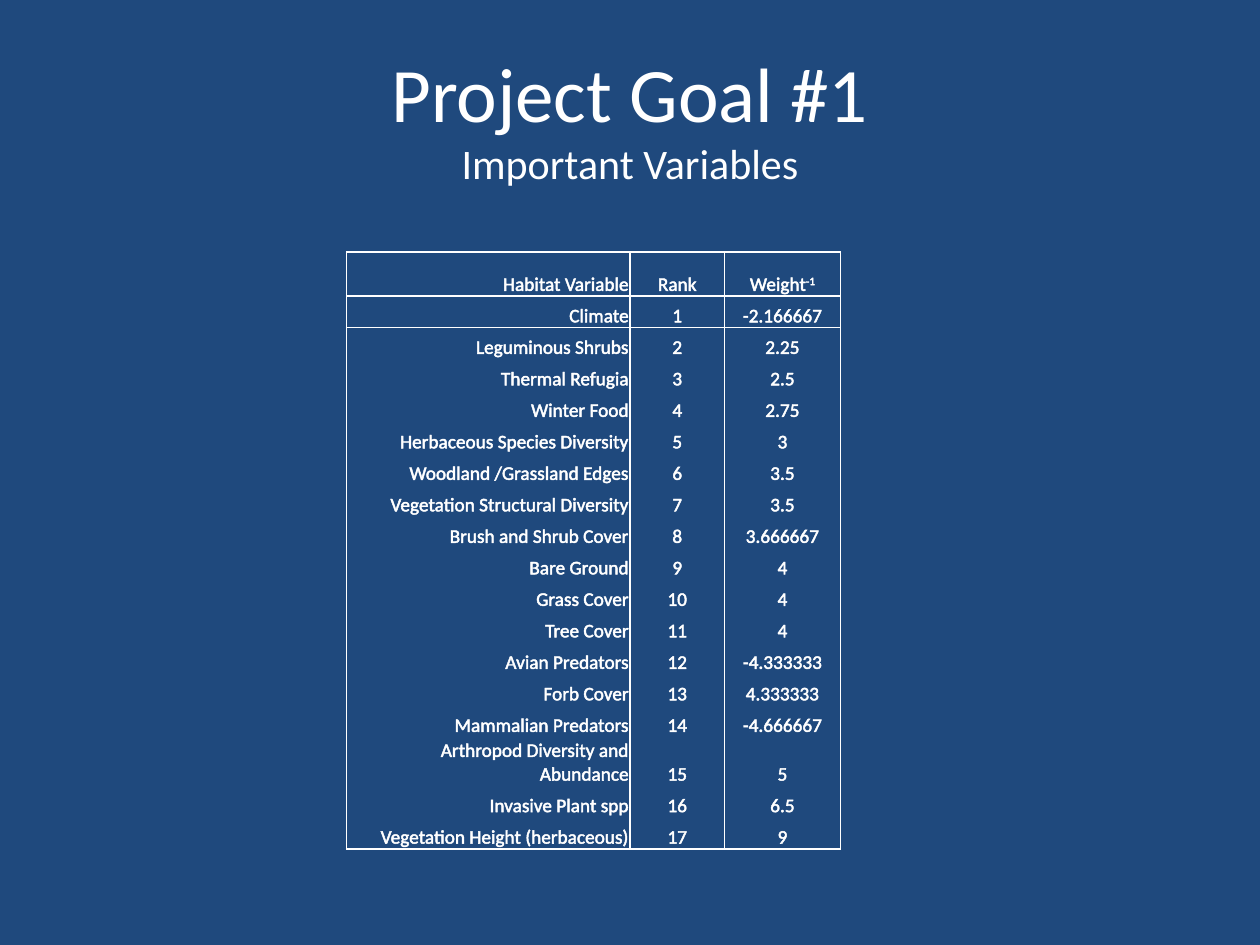
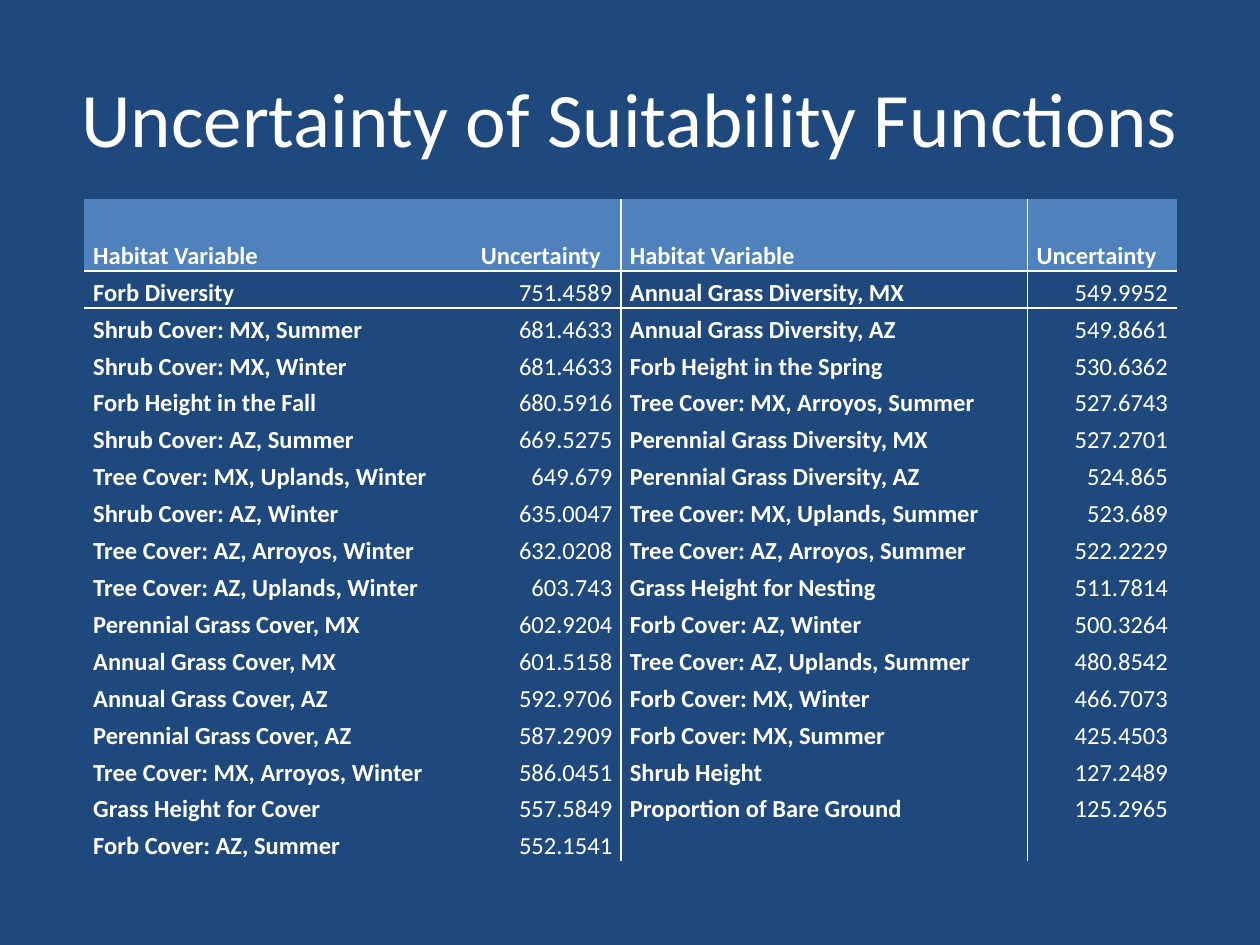
"""Build two slides of habitat variable tables on a shared dark blue master."""
import collections

import lxml.etree
import pptx
import pptx.dml.color
import pptx.enum.text
import pptx.oxml.ns
import pptx.util

WHITE = pptx.dml.color.RGBColor(0xFF, 0xFF, 0xFF)
NAVY = pptx.dml.color.RGBColor(0x1F, 0x49, 0x7D)
STEEL = pptx.dml.color.RGBColor(0x4F, 0x81, 0xBD)
FONT = "Calibri"
PLAIN_TABLE = "{2D5ABB26-0587-4C30-8999-92F81FD0307C}"
ALIGN = pptx.enum.text.PP_ALIGN
BOTTOM = pptx.enum.text.MSO_ANCHOR.BOTTOM
MIDDLE = pptx.enum.text.MSO_ANCHOR.MIDDLE

SLIDE_WIDTH = pptx.util.Inches(10)
SLIDE_HEIGHT = pptx.util.Inches(7.5)
GRID_COLUMNS, GRID_ROWS = 40, 30

Box = collections.namedtuple("Box", "left top width height")
TITLE_BOX = Box(2, 1.2, 36, 5)
RANKING_BOX = Box(11, 8, 15.68, 18.4)
UNCERTAINTY_BOX = Box(2.68, 6.32, 34.68, 21.04)

RANKED_VARIABLES = [
    ("Climate", "-2.166667"),
    ("Leguminous Shrubs", "2.25"),
    ("Thermal Refugia", "2.5"),
    ("Winter Food", "2.75"),
    ("Herbaceous Species Diversity", "3"),
    ("Woodland /Grassland Edges", "3.5"),
    ("Vegetation Structural Diversity", "3.5"),
    ("Brush and Shrub Cover", "3.666667"),
    ("Bare Ground", "4"),
    ("Grass Cover", "4"),
    ("Tree Cover", "4"),
    ("Avian Predators", "-4.333333"),
    ("Forb Cover", "4.333333"),
    ("Mammalian Predators", "-4.666667"),
    ("Arthropod Diversity and Abundance", "5"),
    ("Invasive Plant spp", "6.5"),
    ("Vegetation Height (herbaceous)", "9"),
]

UNCERTAINTIES = [
    ("Forb Diversity", "751.4589"),
    ("Shrub Cover: MX, Summer", "681.4633"),
    ("Shrub Cover: MX, Winter", "681.4633"),
    ("Forb Height in the Fall", "680.5916"),
    ("Shrub Cover: AZ, Summer", "669.5275"),
    ("Tree Cover: MX, Uplands, Winter", "649.679"),
    ("Shrub Cover: AZ, Winter", "635.0047"),
    ("Tree Cover: AZ, Arroyos, Winter", "632.0208"),
    ("Tree Cover: AZ, Uplands, Winter", "603.743"),
    ("Perennial Grass Cover, MX", "602.9204"),
    ("Annual Grass Cover, MX", "601.5158"),
    ("Annual Grass Cover, AZ", "592.9706"),
    ("Perennial Grass Cover, AZ", "587.2909"),
    ("Tree Cover: MX, Arroyos, Winter", "586.0451"),
    ("Grass Height for Cover", "557.5849"),
    ("Forb Cover: AZ, Summer", "552.1541"),
    ("Annual Grass Diversity, MX", "549.9952"),
    ("Annual Grass Diversity, AZ", "549.8661"),
    ("Forb Height in the Spring", "530.6362"),
    ("Tree Cover: MX, Arroyos, Summer", "527.6743"),
    ("Perennial Grass Diversity, MX", "527.2701"),
    ("Perennial Grass Diversity, AZ", "524.865"),
    ("Tree Cover: MX, Uplands, Summer", "523.689"),
    ("Tree Cover: AZ, Arroyos, Summer", "522.2229"),
    ("Grass Height for Nesting", "511.7814"),
    ("Forb Cover: AZ, Winter", "500.3264"),
    ("Tree Cover: AZ, Uplands, Summer", "480.8542"),
    ("Forb Cover: MX, Winter", "466.7073"),
    ("Forb Cover: MX, Summer", "425.4503"),
    ("Shrub Height", "127.2489"),
    ("Proportion of Bare Ground", "125.2965"),
]


def apply_formats(target, formats):
    """Set each named attribute of the target."""
    for name, value in formats.items():
        setattr(target, name, value)


def across(columns):
    """Turn grid columns into a length."""
    return round(SLIDE_WIDTH * columns / GRID_COLUMNS)


def down(rows):
    """Turn grid rows into a length."""
    return round(SLIDE_HEIGHT * rows / GRID_ROWS)


def place(box):
    """Turn a grid box into position and size lengths."""
    return {"left": across(box.left), "top": down(box.top),
            "width": across(box.width), "height": down(box.height)}


def add_line(parent, tag, points, index):
    """Insert a solid white line element at an index of its parent."""
    qn = pptx.oxml.ns.qn
    line = lxml.etree.Element(qn(tag), w=str(pptx.util.Pt(points)))
    fill = lxml.etree.SubElement(line, qn("a:solidFill"))
    lxml.etree.SubElement(fill, qn("a:srgbClr"), val=str(WHITE))
    parent.insert(index, line)


def add_span(para, text, size, bold=False):
    """Add a white run of text to a paragraph."""
    span = para.add_run()
    span.text = text
    apply_formats(span.font, {"name": FONT, "size": pptx.util.Pt(size), "bold": bold})
    span.font.color.rgb = WHITE
    return span


def add_titled_page(deck, box, title, subtitle=None):
    """Add a title-only slide and fill its title, with an optional second line."""
    page = deck.slides.add_slide(deck.slide_layouts[5])
    apply_formats(page.shapes.title, place(box))
    frame = page.shapes.title.text_frame
    apply_formats(frame, {"word_wrap": True, "vertical_anchor": MIDDLE,
                          "auto_size": pptx.enum.text.MSO_AUTO_SIZE.NONE})
    para = frame.paragraphs[0]
    para.alignment = ALIGN.CENTER
    add_span(para, title, 44)
    if subtitle:
        para.add_line_break()
        add_span(para, subtitle, 24)
    return page


def add_plain_table(page, box, row_count, columns, header_height):
    """Add an unstyled table whose body rows share the height below the header."""
    table = page.shapes.add_table(row_count, len(columns), **place(box)).table
    properties = table._tbl.tblPr
    properties.find(pptx.oxml.ns.qn("a:tableStyleId")).text = PLAIN_TABLE
    apply_formats(table, {"first_row": False, "horz_banding": False})
    for column, share in zip(table.columns, columns):
        column.width = across(box.width * share / sum(columns))
    body_height = (box.height - header_height) / (row_count - 1)
    for number, row in enumerate(table.rows):
        row.height = down(body_height if number else header_height)
    return table


def format_cell(cell, margins, edges, fill=None):
    """Set a cell's margins, fill and the edges named by letters; return its paragraph."""
    sides = ("margin_left", "margin_top", "margin_right", "margin_bottom")
    apply_formats(cell, {side: pptx.util.Inches(inset) for side, inset in zip(sides, margins)})
    cell.vertical_anchor = BOTTOM
    if fill is None:
        cell.fill.background()
    else:
        cell.fill.solid()
        cell.fill.fore_color.rgb = fill
    for index, side in enumerate(side for side in "LRTB" if side in edges):
        add_line(cell._tc.tcPr, "a:ln" + side, 1, index)
    return cell.text_frame.paragraphs[0]


def add_ranking_table(page, box):
    """Place the ranked variables with their weights in a framed table."""
    rows = [("Habitat Variable", "Rank", "Weight")]
    rows += [(name, str(rank), weight)
             for rank, (name, weight) in enumerate(RANKED_VARIABLES, 1)]
    table = add_plain_table(page, box, len(rows), (2.25, 0.75, 0.92), 1.4)
    for row, values in enumerate(rows):
        edges = "LR" + "T" * (row <= 1) + "B" * (row in (0, len(rows) - 1))
        for column, value in enumerate(values):
            para = format_cell(table.cell(row, column), (0.01, 0.01, 0.01, 0), edges)
            para.alignment = ALIGN.CENTER if column else ALIGN.RIGHT
            spans = [add_span(para, value, 11)]
            if value == "Weight":
                spans.append(add_span(para, "-1", 11))
                spans[1].font._element.set("baseline", "30000")
            for span in spans:
                add_line(span.font._element, "a:ln", 0.75, 0)


def add_uncertainty_table(page, box):
    """Place the uncertainties in two side-by-side halves under one header."""
    half = (len(UNCERTAINTIES) + 1) // 2
    right_half = UNCERTAINTIES[half:] + [("", "")]
    rows = [("Habitat Variable", "Uncertainty") * 2]
    rows += [left + right for left, right in zip(UNCERTAINTIES[:half], right_half)]
    table = add_plain_table(page, box, len(rows), (3.07, 1.18, 3.22, 1.18), 2.28)
    for row, values in enumerate(rows):
        for column, value in enumerate(values):
            is_number = row > 0 and column % 2 == 1
            edges = {0: "B", 1: "T"}.get(row, "") + {1: "R", 2: "L"}.get(column, "")
            para = format_cell(table.cell(row, column), (0.07, 0, 0.07, 0), edges,
                               None if row else STEEL)
            apply_formats(para, {"alignment": ALIGN.RIGHT if is_number else ALIGN.LEFT,
                                 "line_spacing": 1.15})
            if value:
                add_span(para, value, 14, not is_number)
            else:
                lxml.etree.SubElement(para._p, pptx.oxml.ns.qn("a:endParaRPr"), sz="1400")


def main():
    """Build and save the deck."""
    deck = pptx.Presentation()
    apply_formats(deck, {"slide_width": SLIDE_WIDTH, "slide_height": SLIDE_HEIGHT})
    background = deck.slide_master.background.fill
    background.solid()
    background.fore_color.rgb = NAVY
    page = add_titled_page(deck, TITLE_BOX, "Project Goal #1", "Important Variables")
    add_ranking_table(page, RANKING_BOX)
    page = add_titled_page(deck, TITLE_BOX, "Uncertainty of Suitability Functions")
    add_uncertainty_table(page, UNCERTAINTY_BOX)
    deck.save("out.pptx")


main()
